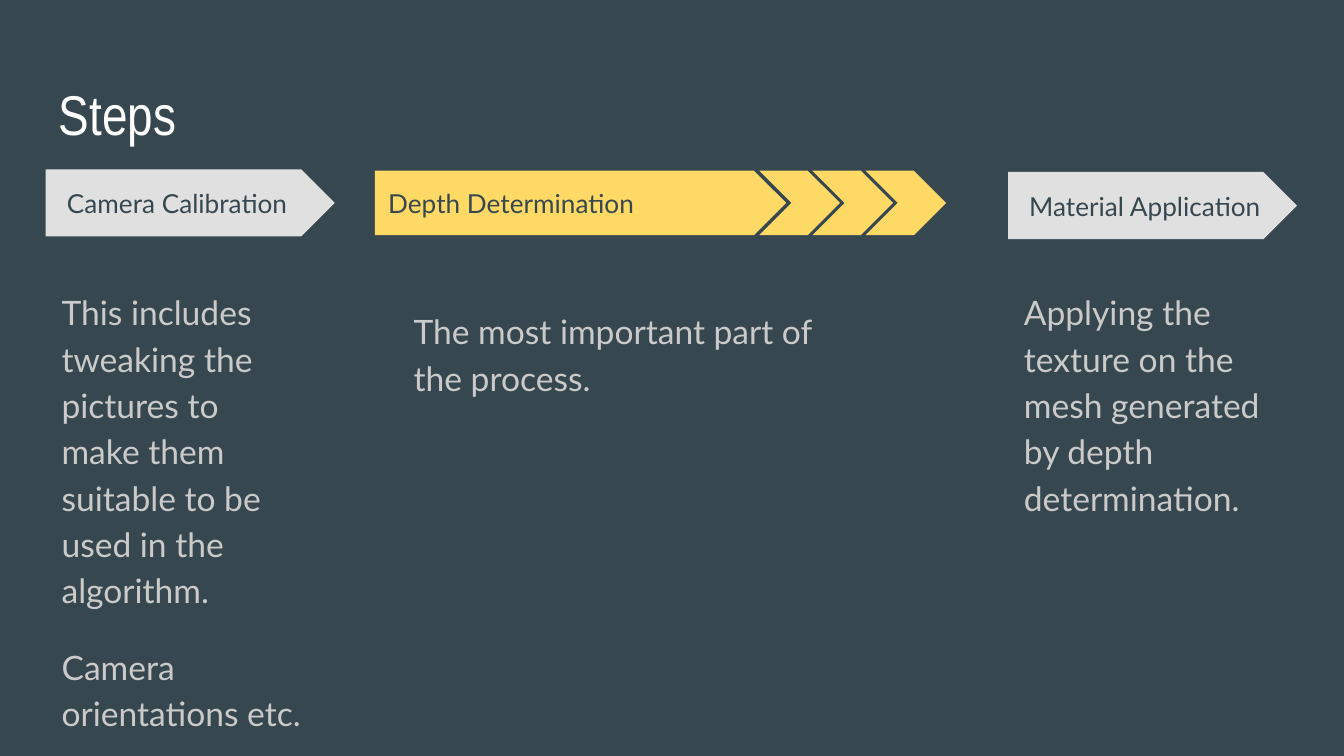
from pptx import Presentation
from pptx.dml.color import RGBColor
from pptx.enum.shapes import MSO_SHAPE
from pptx.enum.text import MSO_ANCHOR
from pptx.util import Inches, Pt

PENTAGON = MSO_SHAPE.PENTAGON
CHEVRON = MSO_SHAPE.CHEVRON
TOP = MSO_ANCHOR.TOP

COLORS = {
    "background": "37474F",
    "title": "FFFFFF",
    "label": "37474F",
    "body": "CACACA",
    "step": "E0E0E0",
    "highlight": "FFD966",
}


def color(name):
    return RGBColor.from_string(COLORS[name])


def add_arrow(shapes, kind, left, top, width, height, fill):
    arrow = shapes.add_shape(
        kind, Inches(left), Inches(top), Inches(width), Inches(height)
    )
    arrow.adjustments[0] = 0.5
    arrow.shadow.inherit = False
    arrow.fill.solid()
    arrow.fill.fore_color.rgb = color(fill)
    arrow.line.fill.background()


def add_text(page, left, top, width, height, texts, size, ink,
             font="Lato", line_spacing=1.15, gap=0):
    box = page.shapes.add_textbox(
        Inches(left), Inches(top), Inches(width), Inches(height)
    )
    frame = box.text_frame
    frame.word_wrap = True
    frame.vertical_anchor = TOP
    frame.margin_left = frame.margin_right = Inches(0.1)
    frame.margin_top = frame.margin_bottom = Inches(0.1)
    for index, text in enumerate(texts):
        para = frame.add_paragraph() if index else frame.paragraphs[0]
        para.line_spacing = line_spacing
        para.space_before = Pt(gap if index else 0)
        para.space_after = Pt(gap if index == len(texts) - 1 else 0)
        span = para.add_run()
        span.text = text
        span.font.name = font
        span.font.size = Pt(size)
        span.font.color.rgb = color(ink)


def add_label(page, left, top, width, text):
    add_text(page, left, top, width, 0.5, [text], 14, "label")


def add_body(page, left, top, width, height, texts):
    add_text(page, left, top, width, height, texts, 18, "body", gap=16)


def add_step(page, left, top, text):
    add_arrow(page.shapes, PENTAGON, left, top, 2.15, 0.5, "step")
    add_label(page, left + 0.06, top, 1.93, text)


def add_highlighted_step(page, left, top, text):
    group = page.shapes.add_group_shape()
    add_arrow(group.shapes, PENTAGON, left, top, 3.06, 0.48, "highlight")
    for index in range(3):
        chevron_left = left + 2.86 + index * 0.395
        add_arrow(group.shapes, CHEVRON, chevron_left, top, 0.6, 0.48, "highlight")
    add_label(page, left, top - 0.01, 3.24, text)


def main():
    deck = Presentation()
    deck.slide_width = Inches(10)
    deck.slide_height = Inches(10) * 9 // 16
    page = deck.slides.add_slide(deck.slide_layouts[6])
    page.background.fill.solid()
    page.background.fill.fore_color.rgb = color("background")

    add_text(page, 0.34, 0.49, 9.32, 0.63, ["Steps"], 30, "title",
             font="Arial Narrow", line_spacing=1.0)

    add_step(page, 0.34, 1.26, "Camera Calibration")
    add_highlighted_step(page, 2.79, 1.27, "Depth Determination")
    add_step(page, 7.5, 1.28, "Material Application")

    add_body(page, 0.36, 2.03, 2.01, 3.15, [
        "This includes tweaking the pictures to make them suitable "
        "to be used in the algorithm.",
        "Camera orientations etc.",
    ])
    add_body(page, 2.98, 2.17, 3.54, 3.01,
             ["The most important part of the process."])
    add_body(page, 7.52, 2.03, 2.01, 3.01, [
        "Applying the texture on the mesh generated by depth determination.",
    ])

    deck.save("out.pptx")


if __name__ == "__main__":
    main()
